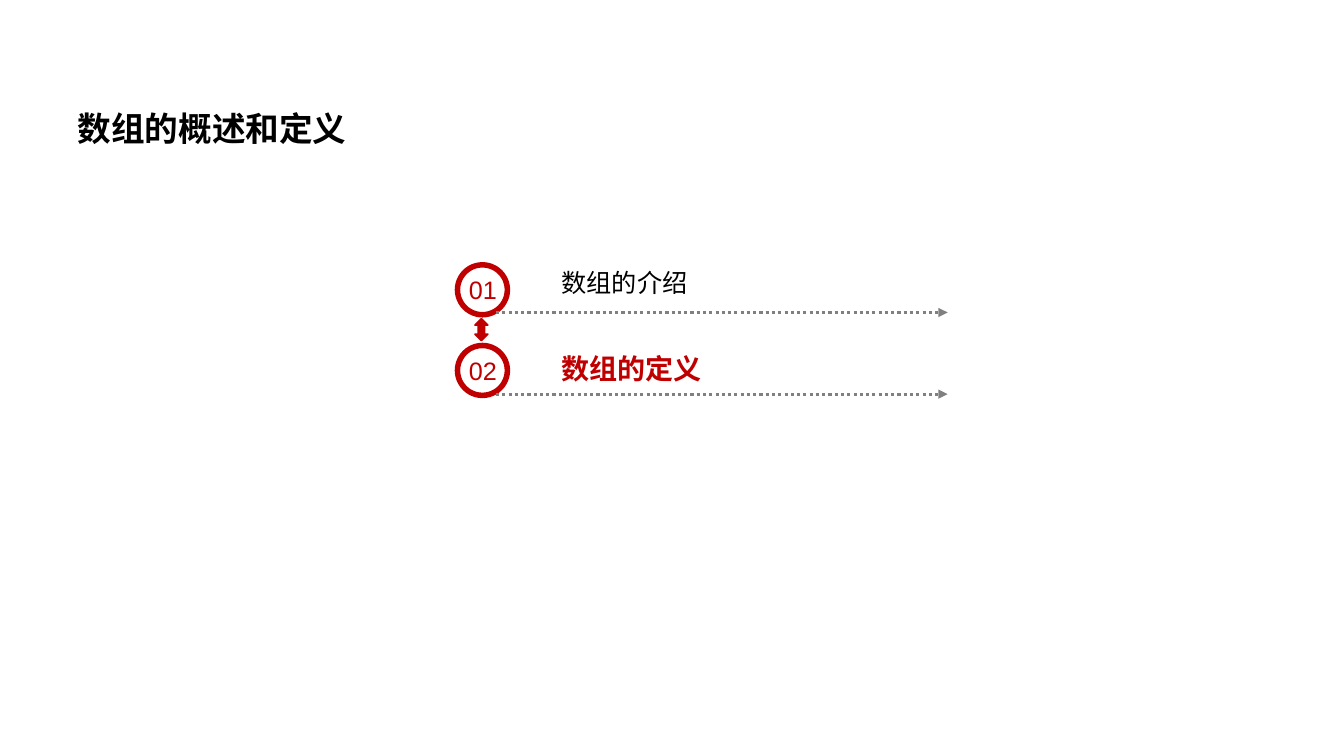
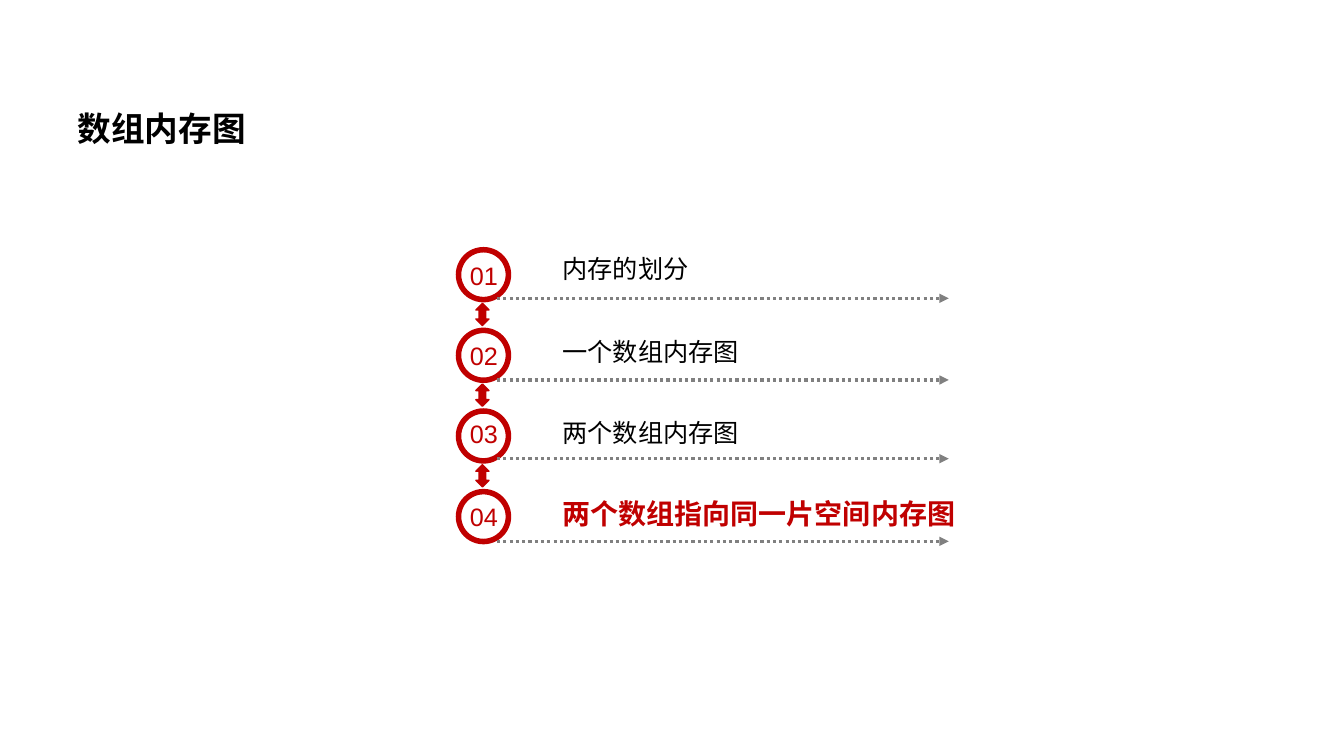
import pptx
import pptx.dml.color
import pptx.enum.dml
import pptx.enum.shapes
import pptx.enum.text
import pptx.oxml.ns
import pptx.util
from lxml import etree

Inches = pptx.util.Inches
Pt = pptx.util.Pt
SHAPE = pptx.enum.shapes.MSO_SHAPE
ALIGN = pptx.enum.text.PP_ALIGN

RED = "C00000"
GREY = "808080"
BLACK = "000000"
LATIN_FONT = "Arial"
CJK_FONT = "Noto Sans CJK SC"
RING_SIZE = 0.55
ROW_PITCH = 0.8

AGENDAS = [
    {
        "title": "数组的概述和定义",
        "left": 4.51,
        "top": 2.6,
        "rows": [
            ("数组的介绍", 2.67, 2.6, 3.1),
            ("数组的定义", 3.48, 3.44, 3.91),
        ],
    },
    {
        "title": "数组内存图",
        "left": 4.52,
        "top": 2.45,
        "rows": [
            ("内存的划分", 2.53, 2.46, 2.96),
            ("一个数组内存图", 3.33, 3.29, 3.77),
            ("两个数组内存图", 4.1, 4.09, 4.55),
            ("两个数组指向同一片空间内存图", 4.92, 4.88, 5.37),
        ],
    },
]


def rgb(value):
    return pptx.dml.color.RGBColor.from_string(value)


def add_xml(parent, tag, **attrs):
    return etree.SubElement(parent, pptx.oxml.ns.qn(tag), attrs)


def write_text(tf, text, size=18, color=BLACK, bold=False, align=ALIGN.LEFT,
               spacing=None, wrap=True):
    tf.word_wrap = wrap
    tf.auto_size = pptx.enum.text.MSO_AUTO_SIZE.NONE
    tf.vertical_anchor = pptx.enum.text.MSO_ANCHOR.TOP
    p = tf.paragraphs[0]
    p.alignment = align
    if spacing:
        p.line_spacing = spacing
    r = p.add_run()
    r.text = text
    r.font.size = Pt(size)
    r.font.bold = bold
    r.font.color.rgb = rgb(color)
    r.font.name = LATIN_FONT
    add_xml(r.font._element, "a:ea", typeface=CJK_FONT)


def add_text(slide, text, left, top, width, height, **style):
    sp = slide.shapes.add_textbox(Inches(left), Inches(top), Inches(width), Inches(height))
    write_text(sp.text_frame, text, **style)


def add_title(slide, text):
    sp = slide.shapes.title
    sp.left, sp.top = Inches(0.67), Inches(0.82)
    sp.width, sp.height = Inches(11.74), Inches(0.61)
    write_text(sp.text_frame, text, size=24, bold=True, spacing=1.5)


def add_red_shape(slide, kind, left, top, width, height):
    sp = slide.shapes.add_shape(kind, Inches(left), Inches(top), Inches(width), Inches(height))
    sp.shadow.inherit = False
    sp.fill.solid()
    sp.fill.fore_color.rgb = rgb(RED)
    return sp


def add_ring(slide, left, top):
    sp = add_red_shape(slide, SHAPE.DONUT, left, top, RING_SIZE, RING_SIZE)
    sp.adjustments[0] = 0.1
    sp.line.fill.background()


def add_link(slide, left, top):
    sp = add_red_shape(slide, SHAPE.UP_DOWN_ARROW, left, top, 0.13, 0.22)
    sp.line.color.rgb = rgb(RED)
    sp.line.width = Pt(1)


def add_dotted_arrow(slide, left, right, y):
    line = slide.shapes.add_connector(
        pptx.enum.shapes.MSO_CONNECTOR.STRAIGHT,
        Inches(left), Inches(y), Inches(right), Inches(y))
    line.line.color.rgb = rgb(GREY)
    line.line.width = Pt(2.25)
    line.line.dash_style = pptx.enum.dml.MSO_LINE.ROUND_DOT
    add_xml(line.line._get_or_add_ln(), "a:tailEnd", type="triangle")
    add_xml(line._element.spPr, "a:effectLst")


def add_agenda(prs, title, left, top, rows):
    slide = prs.slides.add_slide(prs.slide_layouts[5])
    add_title(slide, title)
    last = len(rows) - 1
    for i, (label, number_top, label_top, line_y) in enumerate(rows):
        ring_top = top + i * ROW_PITCH
        add_ring(slide, left, ring_top)
        add_text(slide, f"{i + 1:02d}", left + 0.04, number_top, 0.48, 0.4,
                 color=RED, align=ALIGN.CENTER, wrap=False)
        add_dotted_arrow(slide, left + 0.41, left + 4.89, line_y)
        if i < last:
            add_link(slide, left + 0.2, ring_top + 0.56)
            style = {}
        else:
            style = {"size": 20, "color": RED, "bold": True}
        add_text(slide, label, left + 0.96, label_top, 4.21, 0.44, **style)


def main():
    prs = pptx.Presentation()
    prs.slide_width = Inches(13.33)
    prs.slide_height = Inches(7.5)
    for agenda in AGENDAS:
        add_agenda(prs, **agenda)
    prs.save("out.pptx")


if __name__ == "__main__":
    main()
